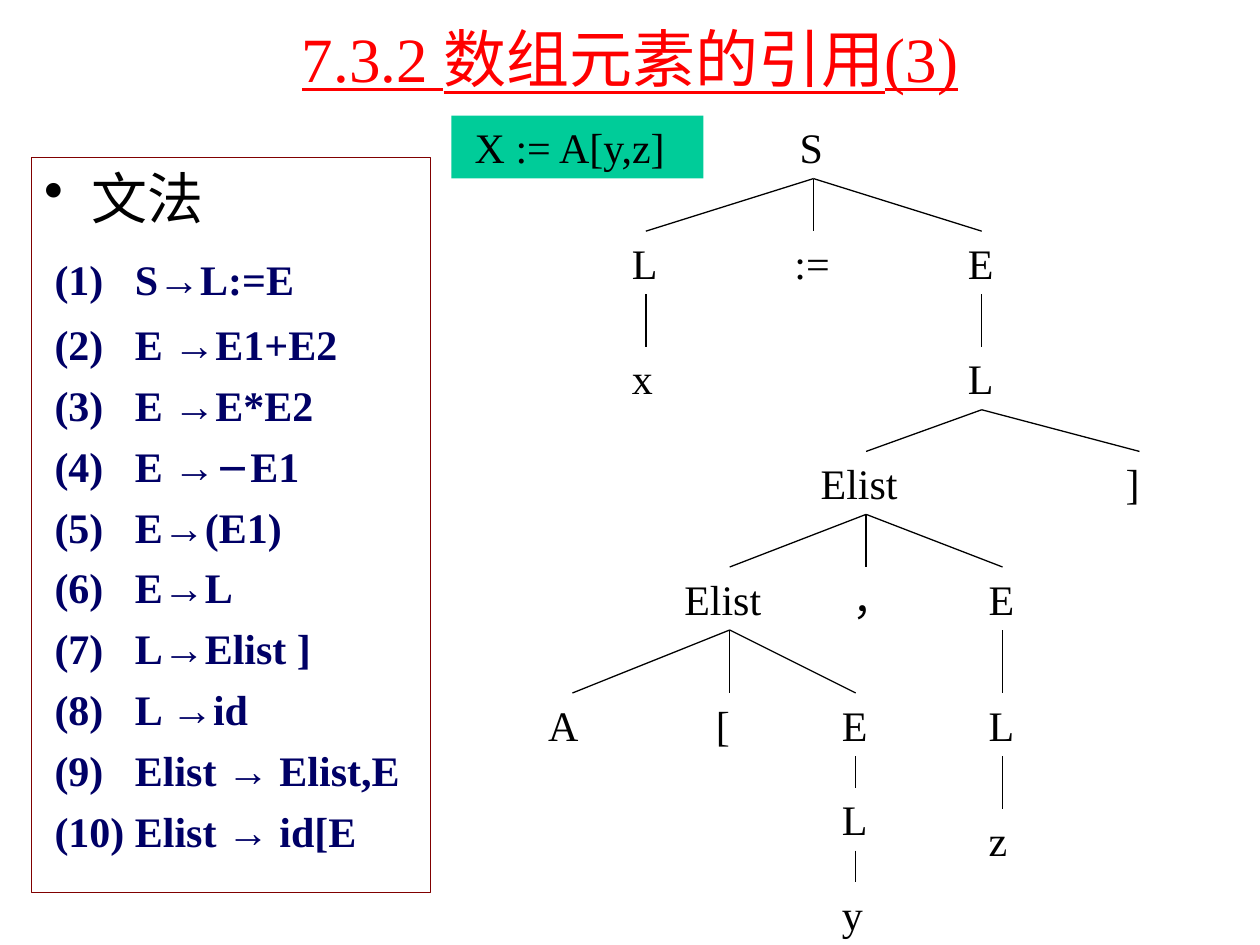
from dataclasses import dataclass
from typing import Optional

from lxml import etree
from pptx import Presentation
from pptx.dml.color import RGBColor
from pptx.enum.shapes import MSO_CONNECTOR, MSO_SHAPE
from pptx.enum.text import MSO_ANCHOR, MSO_AUTO_SIZE, PP_ALIGN
from pptx.oxml.ns import qn
from pptx.util import Cm, Pt

RECTANGLE = MSO_SHAPE.RECTANGLE
STRAIGHT = MSO_CONNECTOR.STRAIGHT
TOP, MIDDLE = MSO_ANCHOR.TOP, MSO_ANCHOR.MIDDLE
LEFT, CENTER = PP_ALIGN.LEFT, PP_ALIGN.CENTER
GROW = MSO_AUTO_SIZE.SHAPE_TO_FIT_TEXT

FONT = "Times New Roman"
BLACK, RED, NAVY, MAROON, GREEN = "000000", "FF0000", "000066", "800000", "00CC99"
NODE_HEIGHT = 1.27
NARROW, WIDE = 1.06, 2.33


@dataclass
class Node:
    """A parse tree symbol: horizontal centre and top in cm."""
    label: str
    center: float
    top: float
    parent: Optional["Node"] = None
    width: float = NARROW


def color(value: str) -> RGBColor:
    return RGBColor.from_string(value)


def style(paragraph, size: float, value: str, bold: bool = False) -> None:
    font = paragraph.font
    font.name, font.size, font.bold = FONT, Pt(size), bold
    font.color.rgb = color(value)


def set_frame(shape, anchor=TOP):
    frame = shape.text_frame
    frame.word_wrap = True
    frame.vertical_anchor = anchor
    return frame


def add_text(page, text: str, left: float, top: float, width: float, height: float):
    box = page.shapes.add_textbox(Cm(left), Cm(top), Cm(width), Cm(height))
    frame = set_frame(box)
    frame.paragraphs[0].text = text
    return box, frame.paragraphs[0]


def add_rectangle(page, left: float, top: float, width: float, height: float):
    box = page.shapes.add_shape(RECTANGLE, Cm(left), Cm(top), Cm(width), Cm(height))
    box.shadow.inherit = False
    return box


def set_hanging(paragraph, margin: float, indent: float, bullet: str = "") -> None:
    properties = paragraph._p.get_or_add_pPr()
    properties.set("marL", str(Cm(margin)))
    properties.set("indent", str(Cm(indent)))
    if bullet:
        etree.SubElement(properties, qn("a:buChar")).set("char", bullet)
    else:
        etree.SubElement(properties, qn("a:buNone"))
        tabs = etree.SubElement(properties, qn("a:tabLst"))
        etree.SubElement(tabs, qn("a:tab"), pos=str(Cm(margin)), algn="l")


def add_node(page, node: Node) -> None:
    box, paragraph = add_text(page, node.label, node.center - node.width / 2,
                              node.top, node.width, NODE_HEIGHT)
    box.text_frame.auto_size = GROW
    style(paragraph, 24, BLACK)


def add_branch(page, parent: Node, child: Node) -> None:
    line = page.shapes.add_connector(
        STRAIGHT, Cm(parent.center), Cm(parent.top + NODE_HEIGHT),
        Cm(child.center), Cm(child.top))
    line.line.color.rgb = color(BLACK)
    line.line.width = Pt(0.75)
    etree.SubElement(line._element.spPr, qn("a:effectLst"))


def add_title(page) -> None:
    box, paragraph = add_text(page, "7.3.2 数组元素的引用(3)", 1.9, 0.42, 21.6, 1.48)
    box.text_frame.vertical_anchor = MIDDLE
    paragraph.alignment = CENTER
    style(paragraph, 36, RED)
    paragraph.font.underline = True


def add_grammar(page) -> None:
    rules = ["S→L:=E", "E →E1+E2", "E →E*E2", "E →－E1", "E→(E1)", "E→L",
             "L→Elist ]", "L →id", "Elist → Elist,E", "Elist → id[E"]
    first_gaps = {1: 13, 2: 8}
    box = add_rectangle(page, 0.64, 3.18, 8.04, 14.82)
    box.fill.background()
    box.line.color.rgb = color(MAROON)
    box.line.width = Pt(0.75)
    frame = set_frame(box)

    heading = frame.paragraphs[0]
    heading.text = "文法"
    heading.alignment = LEFT
    set_hanging(heading, 0.95, -0.95, "•")
    style(heading, 32, BLACK)

    for number, rule in enumerate(rules, 1):
        paragraph = frame.add_paragraph()
        paragraph.alignment = LEFT
        paragraph.space_before = Pt(first_gaps.get(number, 6))
        set_hanging(paragraph, 1.83, -1.62)
        style(paragraph, 24, NAVY, bold=True)
        before, minus, after = f"({number})\t{rule}".partition("－")
        for text in filter(None, (before, minus, after)):
            span = paragraph.add_run()
            span.text = text
            if text == minus:
                span.font.size = Pt(20)


def add_sentence(page) -> None:
    box = add_rectangle(page, 9.1, 2.33, 5.08, NODE_HEIGHT)
    box.fill.solid()
    box.fill.fore_color.rgb = color(GREEN)
    box.line.fill.background()
    frame = set_frame(box)
    frame.margin_left = Cm(0.47)
    paragraph = frame.paragraphs[0]
    paragraph.text = "X := A[y,z]"
    paragraph.alignment = LEFT
    style(paragraph, 24, BLACK)


def parse_tree() -> list[Node]:
    root = Node("S", 16.4, 2.33)
    target = Node("L", 13.02, 4.66, root)
    assign = Node(":=", 16.4, 4.66, root, 1.27)
    value = Node("E", 19.79, 4.66, root)
    name = Node("x", 13.02, 6.99, target)
    element = Node("L", 19.79, 6.99, value)
    outer = Node("Elist", 17.46, 9.1, element, WIDE)
    closing = Node("]", 22.97, 9.1, element)
    inner = Node("Elist", 14.71, 11.43, outer, WIDE)
    comma = Node("，", 17.46, 11.43, outer)
    second = Node("E", 20.21, 11.43, outer)
    array = Node("A", 11.54, 13.97, inner, 1.48)
    opening = Node("[", 14.71, 13.97, inner)
    first = Node("E", 17.25, 13.97, inner)
    second_place = Node("L", 20.21, 13.97, second)
    second_name = Node("z", 20.21, 16.3, second_place)
    first_place = Node("L", 17.25, 15.88, first)
    first_name = Node("y", 17.25, 17.78, first_place)
    return [root, target, assign, value, name, element, outer, closing, inner,
            comma, second, array, opening, first, second_place, second_name,
            first_place, first_name]


def main() -> None:
    deck = Presentation()
    deck.slide_width, deck.slide_height = Cm(25.4), Cm(19.05)
    page = deck.slides.add_slide(deck.slide_layouts[6])

    # Title, grammar and analysed sentence
    add_title(page)
    add_grammar(page)
    add_sentence(page)

    # Parse tree: symbols, then branches
    nodes = parse_tree()
    for node in nodes:
        add_node(page, node)
    for node in nodes:
        if node.parent:
            add_branch(page, node.parent, node)

    deck.save("out.pptx")


if __name__ == "__main__":
    main()
